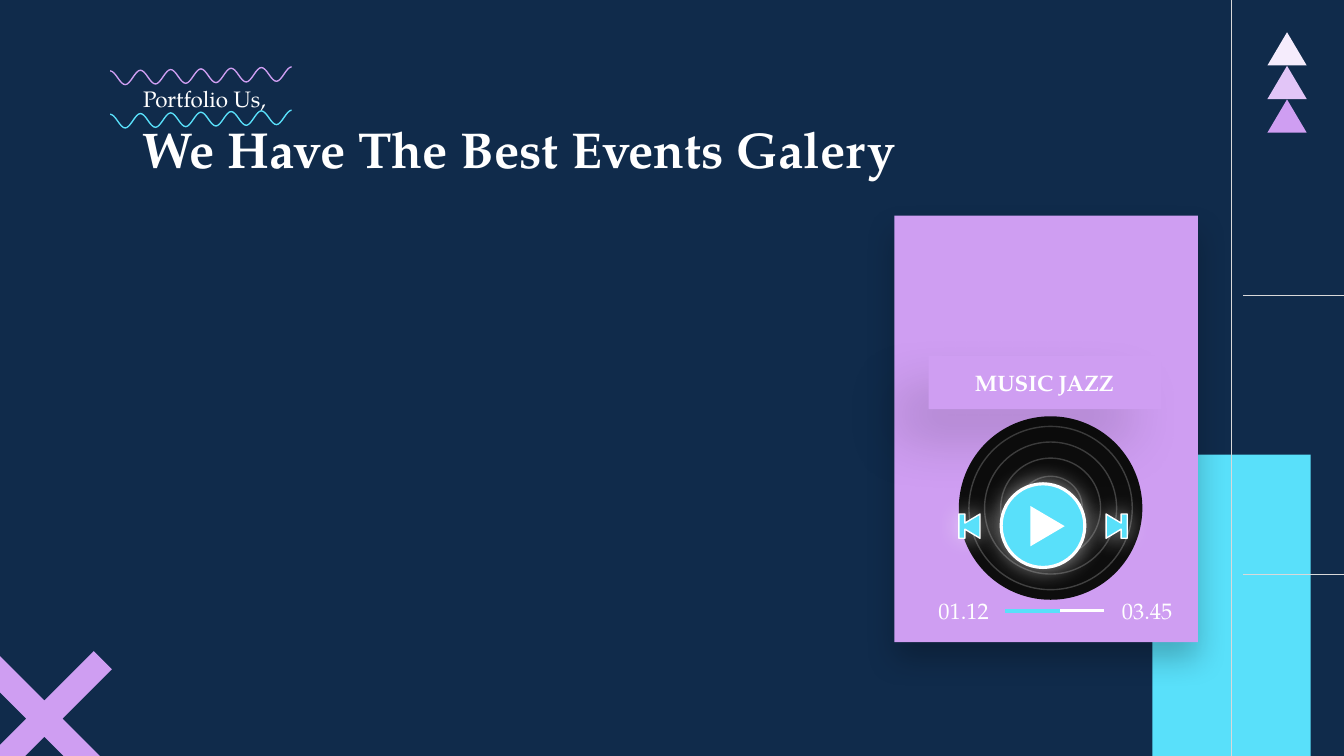
"""Build the events gallery slide with its music player card."""
from math import atan, cos, pi, radians, sin

from lxml.etree import SubElement
from pptx import Presentation
from pptx.dml.color import RGBColor
from pptx.enum.shapes import MSO_CONNECTOR, MSO_SHAPE as Kind
from pptx.enum.text import MSO_ANCHOR, MSO_AUTO_SIZE, PP_ALIGN as Align
from pptx.oxml.ns import qn
from pptx.util import Inches, Pt

FONT = "TeX Gyre Pagella"
COLORS = {
    "navy": "102B4B", "cyan": "59E0FA", "violet": "CF9EF2", "lilac": "E2C5F7",
    "mist": "F5ECFC", "rule": "D9D9D9", "vinyl": "0D0D0D", "groove": "404040",
    "white": "FFFFFF", "black": "000000",
}
WIDTH, HEIGHT = 13.33, 7.5

TITLE = ("We Have The Best Events Galery", (1.31, 1.12, 8.2, 0.71))
TEXTS = [
    ("MUSIC JAZZ", (9.46, 3.61, 1.8, 0.37), True, Align.CENTER, 1),
    ("01.12", (9.21, 5.74, 0.87, 0.47), False, Align.LEFT, 1.5),
    ("03.45", (11.03, 5.74, 0.87, 0.47), False, Align.LEFT, 1.5),
    ("Portfolio Us,", (1.32, 0.66, 2.59, 0.47), False, Align.LEFT, 1.5),
]
FRAME_LINES = [
    ((12.21, 0), (12.21, HEIGHT), "rule", 0.75),
    ((12.33, 2.93), (WIDTH, 2.93), "rule", 0.75),
    ((12.33, 5.7), (WIDTH, 5.7), "rule", 0.75),
]
PROGRESS_LINES = [
    ((9.97, 6.06), (10.95, 6.06), "white", 2.25),
    ((9.97, 6.06), (10.51, 6.06), "cyan", 3),
]
TRIANGLES = ["mist", "lilac", "violet"]
DISC_CENTER = (10.42, 5.04)
DISCS = [
    (2.07, "violet", None), (1.82, "vinyl", None), (1.62, "vinyl", "groove"),
    (1.31, "vinyl", "groove"), (0.99, "vinyl", "groove"),
    (0.63, "vinyl", "groove"), (0.35, "violet", "groove"),
]
WAVES = [(0.77, "violet"), (1.2, "cyan")]
WAVE_LEFT, WAVE_LENGTH, WAVE_PERIOD, WAVE_HEIGHT = 1.1, 1.8, 0.3, 0.07
WAVE_QUARTERS, WAVE_TURN = 24, 43.8
CROSS_CENTER = (0.44, 7.13)
CROSS_ARM, CROSS_TIP, CROSS_NOTCH = 0.49, 0.67, 0.18
SKIP_CENTERS = [(11.07, 1), (9.62, -1)]
SKIP_OUTLINE = [
    (-0.1, -0.12), (0.05, -0.03), (0.05, -0.12), (0.11, -0.12),
    (0.11, 0.12), (0.05, 0.12), (0.05, 0.03), (-0.1, 0.12),
]
CARD_SHADOW = ("black", 24, 23, 12, 90)
LABEL_SHADOW = ("black", 15, 40, 32, 135)
GLOW = ("white", 60, 17, 0, 0)


def color(name):
    return RGBColor.from_string(COLORS[name])


def paint(shape, fill, line=None, weight=1, shadow=None):
    shape.shadow.inherit = False
    shape.fill.solid()
    shape.fill.fore_color.rgb = color(fill)
    if line:
        shape.line.color.rgb = color(line)
        shape.line.width = Pt(weight)
    else:
        shape.line.fill.background()
    if shadow:
        tint, opacity, blur, distance, angle = shadow
        effects = shape._element.spPr.find(qn("a:effectLst"))
        outer = SubElement(effects, qn("a:outerShdw"), blurRad=str(Pt(blur)),
                           dist=str(Pt(distance)), dir=str(angle * 60000),
                           algn="ctr", rotWithShape="0")
        shade = SubElement(outer, qn("a:srgbClr"), val=COLORS[tint])
        SubElement(shade, qn("a:alpha"), val=str(opacity * 1000))
    return shape


def add_preset(page, kind, area, fill, **style):
    return paint(page.shapes.add_shape(kind, *map(Inches, area)), fill, **style)


def add_outline(page, points, fill, **style):
    corners = [(Inches(x), Inches(y)) for x, y in points]
    builder = page.shapes.build_freeform(*corners[0])
    builder.add_line_segments(corners[1:], close=True)
    return paint(builder.convert_to_shape(), fill, **style)


def add_rules(page, rules):
    for start, end, name, weight in rules:
        rule = page.shapes.add_connector(
            MSO_CONNECTOR.STRAIGHT, *map(Inches, start + end))
        rule.line.color.rgb = color(name)
        rule.line.width = Pt(weight)
        SubElement(rule._element.spPr, qn("a:effectLst"))


def write(frame, text, size, bold, align, spacing):
    frame.word_wrap = True
    frame.auto_size = MSO_AUTO_SIZE.NONE
    frame.vertical_anchor = MSO_ANCHOR.TOP
    para = frame.paragraphs[0]
    para.text = text
    para.alignment = align
    para.line_spacing = spacing
    para.font.name = FONT
    para.font.size = Pt(size)
    para.font.bold = bold
    para.font.color.rgb = color("white")


def wave_edge(middle, offset):
    knots = []
    for quarter in range(WAVE_QUARTERS + 1):
        run = WAVE_LENGTH * quarter / WAVE_QUARTERS
        phase = 2 * pi * run / WAVE_PERIOD
        slope = WAVE_HEIGHT * 2 * pi / WAVE_PERIOD * sin(phase)
        y = middle - 0.04 * run / WAVE_LENGTH - WAVE_HEIGHT * cos(phase)
        tilt = atan(slope)
        knots.append((WAVE_LEFT + run - offset * sin(tilt), y + offset * cos(tilt), slope))
    points = [knots[0][:2]]
    for (x, y, slope), (next_x, next_y, next_slope) in zip(knots, knots[1:]):
        third = (next_x - x) / 3
        points += [(x + third, y + third * slope),
                   (next_x - third, next_y - third * next_slope), (next_x, next_y)]
    return points


def add_wave(page, middle, name):
    half = Pt(0.5).inches
    ribbon = wave_edge(middle, -half) + wave_edge(middle, half)[::-1]
    center_x, center_y = WAVE_LEFT + WAVE_LENGTH / 2, middle - 0.07
    turn = radians(-WAVE_TURN)
    turned = [(center_x + (x - center_x) * cos(turn) - (y - center_y) * sin(turn),
               center_y + (x - center_x) * sin(turn) + (y - center_y) * cos(turn))
              for x, y in ribbon]
    wave = add_outline(page, turned, name)
    wave.rotation = WAVE_TURN
    steps = list(wave._element.iter(qn("a:lnTo")))
    count = 3 * WAVE_QUARTERS
    for first in [*range(0, count, 3), *range(count + 1, 2 * count + 1, 3)]:
        curve, *others = steps[first:first + 3]
        curve.tag = qn("a:cubicBezTo")
        for other in others:
            curve.append(other[0])
            other.getparent().remove(other)


def cross_points():
    x, y = CROSS_CENTER
    quarter = [(0, -CROSS_NOTCH), (CROSS_ARM, -CROSS_TIP), (CROSS_TIP, -CROSS_ARM)]
    points = []
    for _ in range(4):
        points += [(x + dx, y + dy) for dx, dy in quarter]
        quarter = [(-dy, dx) for dx, dy in quarter]
    return points


def add_decor(page):
    add_preset(page, Kind.RECTANGLE, (0, 0, WIDTH, HEIGHT), "navy")
    add_preset(page, Kind.RECTANGLE, (11.43, 4.51, 1.57, 2.99), "cyan")
    add_rules(page, FRAME_LINES)
    add_outline(page, cross_points(), "violet")
    for row, name in enumerate(TRIANGLES):
        add_preset(page, Kind.ISOSCELES_TRIANGLE,
                   (12.57, 0.32 + row / 3, 0.39, 0.33), name)


def add_player(page):
    add_preset(page, Kind.RECTANGLE, (8.87, 2.14, 3.01, 4.23), "violet",
               shadow=CARD_SHADOW)
    for middle, name in WAVES:
        add_wave(page, middle, name)
    for size, fill, line in DISCS:
        left, top = (middle - size / 2 for middle in DISC_CENTER)
        add_preset(page, Kind.OVAL, (left, top, size, size), fill, line=line)
    add_preset(page, Kind.RECTANGLE, (9.21, 3.53, 2.31, 0.53), "violet",
               shadow=LABEL_SHADOW)
    add_preset(page, Kind.OVAL, (9.93, 4.8, 0.83, 0.83), "cyan",
               line="white", weight=2.25, shadow=GLOW)
    play = add_preset(page, Kind.ISOSCELES_TRIANGLE, (10.19, 5.05, 0.4, 0.34), "white")
    play.rotation = 90
    for x, side in SKIP_CENTERS:
        points = [(x + side * dx, 5.22 + dy) for dx, dy in SKIP_OUTLINE]
        add_outline(page, points, "cyan", line="white", shadow=GLOW)
    add_rules(page, PROGRESS_LINES)


def main():
    deck = Presentation()
    deck.slide_width, deck.slide_height = Inches(WIDTH), Inches(HEIGHT)
    page = deck.slides.add_slide(deck.slide_layouts[5])
    add_decor(page)
    add_player(page)
    for text, area, bold, align, spacing in TEXTS:
        box = page.shapes.add_textbox(*map(Inches, area))
        write(box.text_frame, text, 16, bold, align, spacing)
    text, area = TITLE
    title = page.shapes.title
    title.left, title.top, title.width, title.height = map(Inches, area)
    write(title.text_frame, text, 36, True, Align.LEFT, 1)
    page.shapes._spTree.append(title._element)
    deck.save("out.pptx")


if __name__ == "__main__":
    main()
